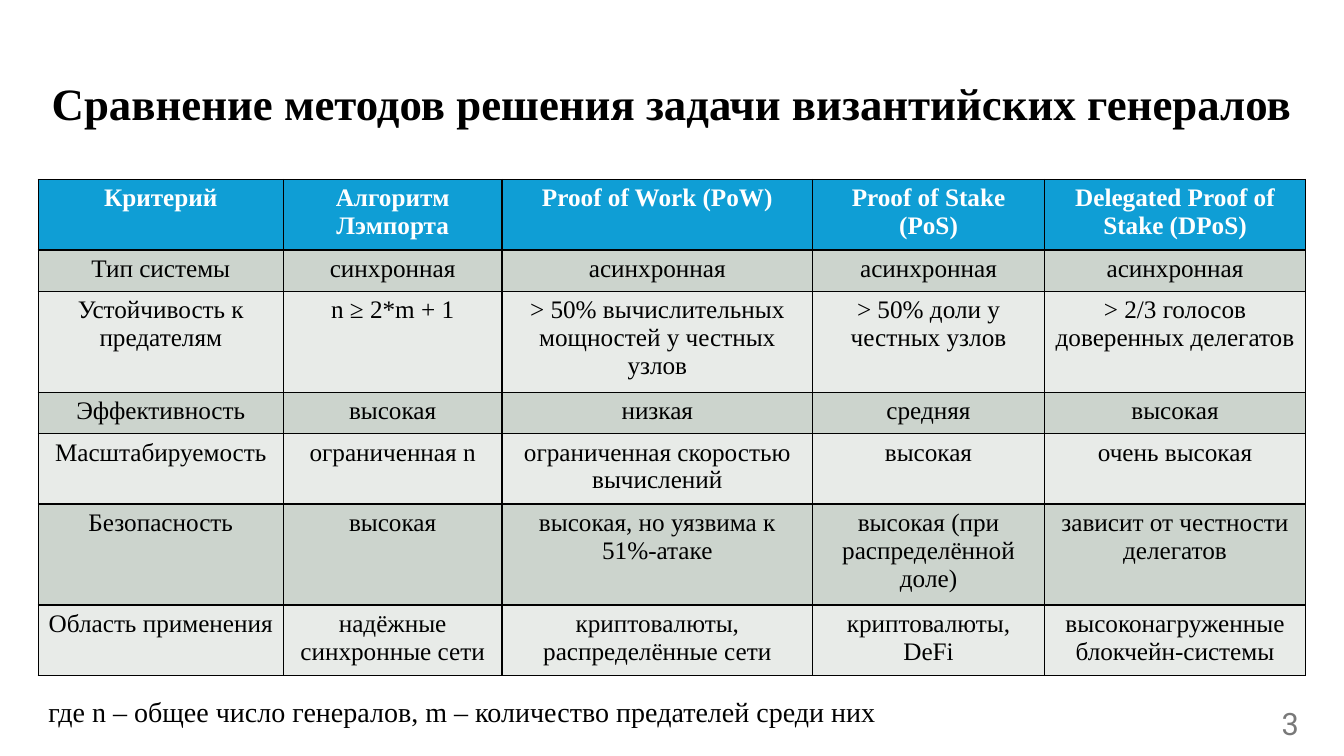
import pptx
import pptx.util
import pptx.dml.color
import pptx.enum.text
import pptx.oxml
import pptx.oxml.ns

Inches = pptx.util.Inches
Pt = pptx.util.Pt
ALIGN = pptx.enum.text.PP_ALIGN
ANCHOR = pptx.enum.text.MSO_ANCHOR

COLORS = {
    "ink": "000000",
    "header_text": "FFFFFF",
    "header": "0F9ED5",
    "odd_row": "CCD4CD",
    "even_row": "E8EBE8",
    "page_number": "797979",
}
SERIF = "Times New Roman"
COLUMN_WIDTHS = [2.43, 2.17, 3.08, 2.3, 2.59]
ROW_HEIGHTS = [0.65, 0.41, 0.93, 0.41, 0.65, 0.93, 0.65]
COMPARISON = [
    ["Критерий", "Алгоритм Лэмпорта", "Proof of Work (PoW)",
     "Proof of Stake (PoS)", "Delegated Proof of Stake (DPoS)"],
    ["Тип системы", "синхронная", "асинхронная", "асинхронная", "асинхронная"],
    ["Устойчивость к предателям", "n ≥ 2*m + 1",
     "> 50% вычислительных мощностей у честных узлов",
     "> 50% доли у честных узлов", "> 2/3 голосов доверенных делегатов"],
    ["Эффективность", "высокая", "низкая", "средняя", "высокая"],
    ["Масштабируемость", "ограниченная n", "ограниченная скоростью вычислений",
     "высокая", "очень высокая"],
    ["Безопасность", "высокая", "высокая, но уязвима к 51%-атаке",
     "высокая (при распределённой доле)", "зависит от честности делегатов"],
    ["Область применения", "надёжные синхронные сети",
     "криптовалюты, распределённые сети", "криптовалюты, DeFi",
     "высоконагруженные блокчейн-системы"],
]


def rgb(name):
    """Return the named colour."""
    return pptx.dml.color.RGBColor.from_string(COLORS[name])


def write(frame, text, size, color, align, bold=False, face=SERIF):
    """Fill a text frame with one formatted paragraph and return it."""
    frame.text = text
    frame.word_wrap = True
    paragraph = frame.paragraphs[0]
    paragraph.alignment = align
    for run in paragraph.runs:
        run.font.size = Pt(size)
        run.font.name = face
        run.font.bold = bold
        run.font.color.rgb = rgb(color)
    return paragraph


def add_frame(slide, box, anchor):
    """Add a text box at the given box and return its text frame."""
    frame = slide.shapes.add_textbox(*map(Inches, box)).text_frame
    frame.vertical_anchor = anchor
    return frame


def add_title(slide, box):
    """Place the slide heading."""
    heading = write(add_frame(slide, box, ANCHOR.MIDDLE),
                    "Сравнение методов решения задачи византийских генералов",
                    32, "ink", ALIGN.CENTER, bold=True)
    heading.line_spacing = 0.9


def outline_cell(cell):
    """Draw a thin line on all four sides of a cell."""
    properties = cell._tc.get_or_add_tcPr()
    for position, side in enumerate(("lnL", "lnR", "lnT", "lnB")):
        border = pptx.oxml.parse_xml(
            f'<a:{side} {pptx.oxml.ns.nsdecls("a")} w="12700"><a:solidFill>'
            f'<a:srgbClr val="{COLORS["ink"]}"/></a:solidFill></a:{side}>')
        properties.insert(position, border)


def add_comparison(slide, box):
    """Place the comparison table."""
    table = slide.shapes.add_table(
        len(COMPARISON), len(COLUMN_WIDTHS), *map(Inches, box)).table
    for column, width in zip(table.columns, COLUMN_WIDTHS):
        column.width = Inches(width)
    for row, height in zip(table.rows, ROW_HEIGHTS):
        row.height = Inches(height)
    for index, entries in enumerate(COMPARISON):
        is_header = index == 0
        band = "header" if is_header else "odd_row" if index % 2 else "even_row"
        for cell, entry in zip(table.rows[index].cells, entries):
            write(cell.text_frame, entry, 18,
                  "header_text" if is_header else "ink", ALIGN.CENTER, is_header)
            cell.fill.solid()
            cell.fill.fore_color.rgb = rgb(band)
            outline_cell(cell)


def add_legend(slide, box):
    """Place the explanation of the symbols."""
    legend = write(add_frame(slide, box, ANCHOR.TOP),
                   "где n – общее число генералов, m – количество предателей среди них",
                   20, "ink", ALIGN.JUSTIFY)
    legend.line_spacing = Pt(33)
    legend.space_before = Pt(10)
    legend._p.get_or_add_pPr().set("indent", str(Inches(0.49)))


def add_page_number(slide, box):
    """Place the page number."""
    write(add_frame(slide, box, ANCHOR.MIDDLE), "3", 22, "page_number",
          ALIGN.RIGHT, face="Roboto")


def main():
    """Build and save the presentation."""
    presentation = pptx.Presentation()
    presentation.slide_width = Inches(13.33)
    presentation.slide_height = Inches(7.5)
    slide = presentation.slides.add_slide(presentation.slide_layouts[6])
    add_title(slide, (0, 0.44, 13.33, 1.22))
    add_page_number(slide, (9.98, 6.97, 3, 0.4))
    add_comparison(slide, (0.38, 1.78, sum(COLUMN_WIDTHS), sum(ROW_HEIGHTS)))
    add_legend(slide, (-0.11, 6.72, 10.09, 0.64))
    presentation.save("out.pptx")


if __name__ == "__main__":
    main()
